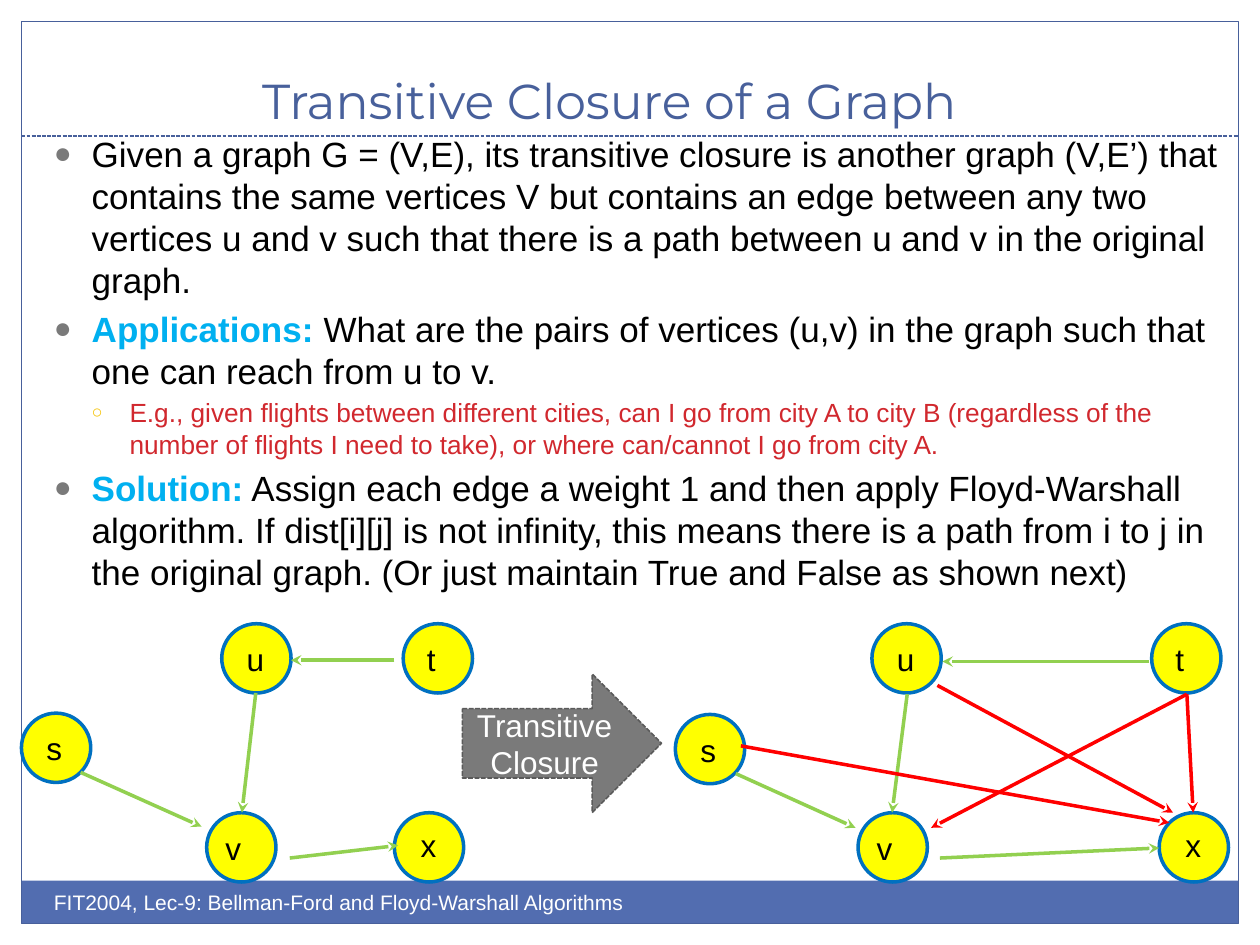
from dataclasses import dataclass

from lxml import etree
from pptx import Presentation
from pptx.dml.color import RGBColor
from pptx.enum.dml import MSO_LINE
from pptx.enum.shapes import MSO_CONNECTOR, MSO_SHAPE
from pptx.enum.text import MSO_ANCHOR, PP_ALIGN
from pptx.oxml.ns import qn
from pptx.util import Inches, Pt


@dataclass(frozen=True)
class Theme:
    """Colours, fonts and type sizes of the slide."""
    navy: str = "48609B"
    bar: str = "526DB0"
    white: str = "FFFFFF"
    black: str = "000000"
    grey: str = "7A7A7A"
    dark_grey: str = "5A5A5A"
    gold: str = "F5C201"
    crimson: str = "D1282E"
    sky: str = "00B0F0"
    blue: str = "0070C0"
    yellow: str = "FFFF00"
    green: str = "92D050"
    red: str = "FF0000"
    head_font: str = "Montserrat"
    body_font: str = "Arial"
    title: int = 28
    body: int = 20
    label: int = 18
    sub: int = 15
    footer: int = 12


T = Theme()
NODE = 0.55
LABELS = {"s": (0.1, 0.08, 0.33), "u": (0.1, 0.08, 0.34), "t": (0.09, 0.08, 0.27),
          "v": (0.05, 0.08, 0.33), "x": (0.11, 0.06, 0.33)}

BULLETS = [
    (0, "", "Given a graph G = (V,E), its transitive closure is another graph (V,E’) that "
            "contains the same vertices V but contains an edge between any two vertices u and v "
            "such that there is a path between u and v in the original graph."),
    (0, "Applications:", " What are the pairs of vertices (u,v) in the graph such that one can "
                         "reach from u to v."),
    (1, "", "E.g., given flights between different cities, can I go from city A to city B "
            "(regardless of the number of flights I need to take), or where can/cannot I go "
            "from city A."),
    (0, "Solution:", " Assign each edge a weight 1 and then apply Floyd-Warshall algorithm. If "
                     "dist[i][j] is not infinity, this means there is a path from i to j in the "
                     "original graph. (Or just maintain True and False as shown next)"),
]

GRAPH_NODES = {"s": (0, 0.71), "u": (1.59, 0), "t": (3.03, 0), "v": (1.47, 1.5), "x": (2.96, 1.5)}
GRAPH_EDGES = [
    (0.47, 1.18, 1.43, 1.61, T.green),
    (1.86, 0.55, 1.75, 1.5, T.green),
    (2.96, 0.29, 2.14, 0.29, T.green),
    (2.13, 1.86, 2.99, 1.76, T.green),
]
CLOSURE_NODES = {"s": (0.03, 0.72), "u": (1.59, 0), "t": (3.81, 0), "v": (1.48, 1.5),
                 "x": (3.87, 1.5)}
CLOSURE_EDGES = [
    (0.51, 1.19, 1.46, 1.62, T.green),
    (1.87, 0.56, 1.75, 1.5, T.green),
    (3.79, 0.3, 2.15, 0.3, T.green),
    (2.13, 1.86, 3.87, 1.78, T.green),
    (4.09, 0.56, 2.06, 1.62, T.red),
    (0.55, 0.97, 3.95, 1.58, T.red),
    (4.09, 0.56, 4.14, 1.5, T.red),
    (2.11, 0.49, 3.98, 1.5, T.red),
]


def rgb(value):
    """Turn a hex string into a colour."""
    return RGBColor.from_string(value)


def inches(*values):
    """Turn numbers into lengths."""
    return [Inches(v) for v in values]


def add_run(p, text, size=T.body, color=T.black, font=T.body_font, bold=False):
    """Add one formatted run to a paragraph."""
    r = p.add_run()
    r.text = text
    r.font.name, r.font.size, r.font.bold = font, Pt(size), bold
    r.font.color.rgb = rgb(color)


def add_text(s, box, text, align=PP_ALIGN.LEFT, anchor=MSO_ANCHOR.TOP, wrap=True, **fmt):
    """Add a text box holding one line of formatted text."""
    tf = s.shapes.add_textbox(*inches(*box)).text_frame
    tf.word_wrap, tf.vertical_anchor = wrap, anchor
    tf.paragraphs[0].alignment = align
    add_run(tf.paragraphs[0], text, **fmt)


def add_shape(s, kind, box, fill=None, line=None, width=1, dash=None):
    """Add a preset shape with a plain fill and outline."""
    sp = s.shapes.add_shape(kind, *inches(*box))
    sp.shadow.inherit = False
    if fill:
        sp.fill.solid()
        sp.fill.fore_color.rgb = rgb(fill)
    else:
        sp.fill.background()
    if line:
        sp.line.color.rgb, sp.line.width = rgb(line), Pt(width)
        sp.line.dash_style = dash
    else:
        sp.line.fill.background()
    return sp


def add_line(s, x1, y1, x2, y2, color, width=2, dash=None, arrow=True):
    """Add a straight line, with an arrowhead at its end if wanted."""
    c = s.shapes.add_connector(MSO_CONNECTOR.STRAIGHT, *inches(x1, y1, x2, y2))
    c.line.color.rgb, c.line.width = rgb(color), Pt(width)
    c.line.dash_style = dash
    if arrow:
        etree.SubElement(c.line._get_or_add_ln(), qn("a:tailEnd"), type="stealth")
    etree.SubElement(c._element.spPr, qn("a:effectLst"))


def set_bullet(p, level):
    """Give a paragraph the bullet and hanging indent of its level."""
    char, color, percent = [("●", T.grey, 85), ("○", T.gold, 70)][level]
    pPr = p._p.get_or_add_pPr()
    pPr.set("marL", str(Inches(0.3 * (level + 1))))
    pPr.set("indent", str(Inches(-0.3)))
    clr = etree.SubElement(pPr, qn("a:buClr"))
    etree.SubElement(clr, qn("a:srgbClr"), val=color)
    etree.SubElement(pPr, qn("a:buSzPct"), val=str(percent * 1000))
    etree.SubElement(pPr, qn("a:buFont"), typeface=T.body_font)
    etree.SubElement(pPr, qn("a:buChar"), char=char)


def draw_frame(s, box):
    """Draw the footer bar, the border, the heading rule and the title and footer text."""
    x, y, w, h = box
    add_shape(s, MSO_SHAPE.RECTANGLE, (x, y + h - 0.34, w, 0.34), fill=T.bar)
    add_shape(s, MSO_SHAPE.RECTANGLE, box, line=T.navy, width=0.75)
    add_line(s, x, y + 0.91, x + w, y + 0.91, T.navy, 0.75, MSO_LINE.SQUARE_DOT, arrow=False)
    add_text(s, (x - 0.25, y + 0.08, 9.83, 0.83), "Transitive Closure of a Graph",
             align=PP_ALIGN.CENTER, anchor=MSO_ANCHOR.BOTTOM,
             size=T.title, color=T.navy, font=T.head_font)
    add_text(s, (x + 0.16, y + h - 0.32, 5, 0.4),
             "FIT2004, Lec-9: Bellman-Ford and Floyd-Warshall Algorithms",
             size=T.footer, color=T.white)


def draw_body(s, box):
    """Write the bulleted explanation."""
    tf = s.shapes.add_textbox(*inches(*box)).text_frame
    tf.word_wrap = True
    for i, (level, lead, text) in enumerate(BULLETS):
        p = tf.add_paragraph() if i else tf.paragraphs[0]
        p.level = level
        size, color = [(T.body, T.black), (T.sub, T.crimson)][level]
        set_bullet(p, level)
        if i:
            p.space_before = Pt(size * 0.2)
        if lead:
            add_run(p, lead, size=size, color=T.sky, bold=True)
        add_run(p, text, size=size, color=color)


def draw_graph(s, origin, nodes, edges):
    """Draw labelled nodes and directed edges relative to an origin."""
    x, y = origin
    for name, (dx, dy) in nodes.items():
        add_shape(s, MSO_SHAPE.OVAL, (x + dx, y + dy, NODE, NODE), T.yellow, T.blue, 2)
        lx, ly, width = LABELS[name]
        add_text(s, (x + dx + lx, y + dy + ly, width, 0.4), name, wrap=False, size=T.label)
    for x1, y1, x2, y2, color in edges:
        add_line(s, x + x1, y + y1, x + x2, y + y2, color)


def draw_step(s, box):
    """Draw the block arrow between the two graphs."""
    sp = add_shape(s, MSO_SHAPE.RIGHT_ARROW, box, T.grey, T.dark_grey, 0.9, MSO_LINE.SQUARE_DOT)
    tf = sp.text_frame
    tf.word_wrap, tf.vertical_anchor = True, MSO_ANCHOR.MIDDLE
    tf.paragraphs[0].alignment = PP_ALIGN.CENTER
    add_run(tf.paragraphs[0], "Transitive Closure", size=T.label, color=T.white)


def main():
    """Build the slide and save it."""
    prs = Presentation()
    prs.slide_width, prs.slide_height = inches(10, 7.5)
    s = prs.slides.add_slide(prs.slide_layouts[6])
    draw_frame(s, (0.17, 0.17, 9.66, 7.16))
    draw_body(s, (0.33, 1, 9.5, 5.5))
    draw_graph(s, (0.17, 4.95), GRAPH_NODES, GRAPH_EDGES)
    draw_step(s, (3.67, 5.35, 1.58, 1.1))
    draw_graph(s, (5.33, 4.95), CLOSURE_NODES, CLOSURE_EDGES)
    prs.save("out.pptx")


if __name__ == "__main__":
    main()
